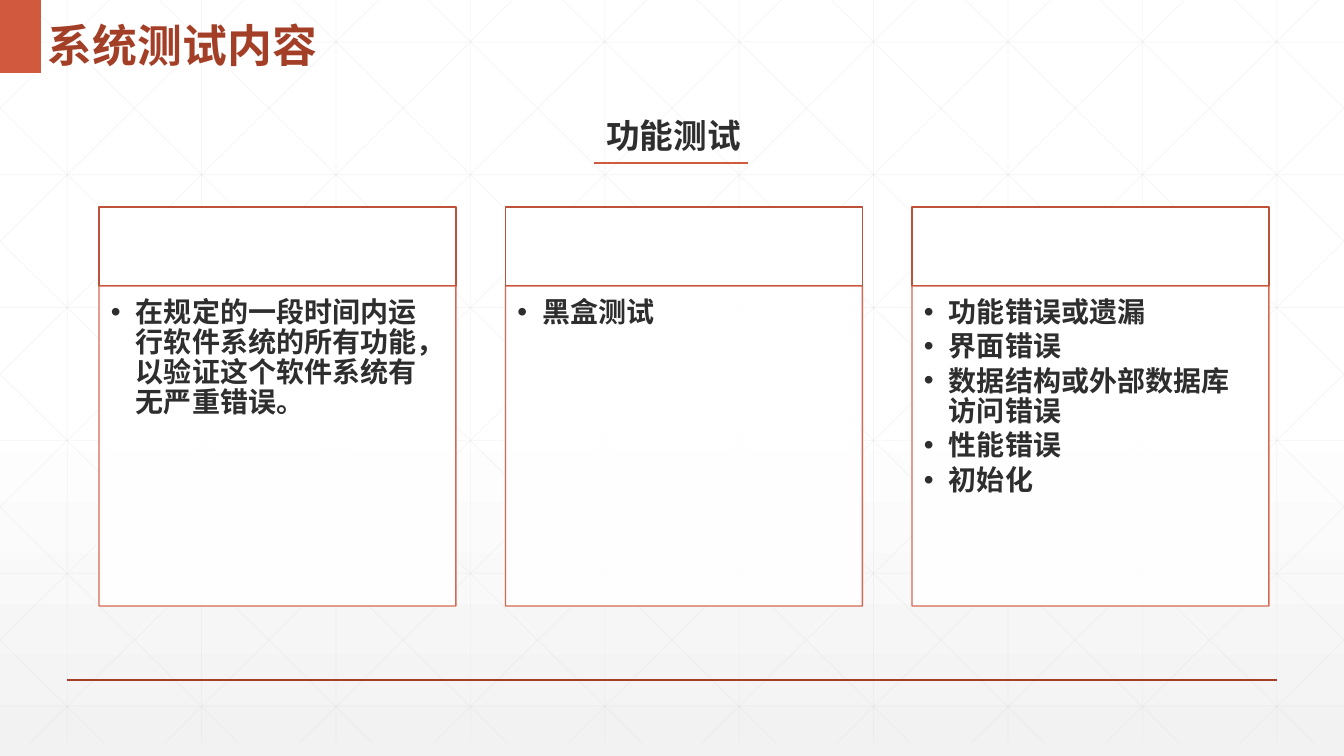
from lxml import etree
from pptx import Presentation
from pptx.dml.color import RGBColor
from pptx.enum.shapes import MSO_CONNECTOR, MSO_SHAPE
from pptx.enum.text import MSO_ANCHOR, PP_ALIGN
from pptx.oxml.ns import qn
from pptx.util import Pt

TITLE = "系统测试内容"
HEADING = "功能测试"
CARDS = [
    ["在规定的一段时间内运行软件系统的所有功能，以验证这个软件系统有无严重错误。"],
    ["黑盒测试"],
    ["功能错误或遗漏", "界面错误", "数据结构或外部数据库访问错误", "性能错误", "初始化"],
]
COLORS = {
    "white": "FFFFFF", "shade": "F2F2F2", "grid": "D9D9D9", "text": "2D2E2D",
    "accent": "D15A3E", "header": "BE5238", "title": "A43F27",
}
BACKGROUND_STOPS = [(0, "white", 100), (53, "white", 100), (100, "shade", 65)]
CJK_FONT = "Noto Sans CJK SC"
LATIN_FONT = "Arial"
RECTANGLE = MSO_SHAPE.RECTANGLE
STRAIGHT = MSO_CONNECTOR.STRAIGHT
MIDDLE, TOP = MSO_ANCHOR.MIDDLE, MSO_ANCHOR.TOP
LEFT, CENTER = PP_ALIGN.LEFT, PP_ALIGN.CENTER

# Lengths in px, 100.8 px to the inch
SLIDE_W, SLIDE_H = 1344, 756
EMU_PER_PX = 914400 / 100.8
GRID_BOTTOM = 743
COLUMN_PITCH = SLIDE_W / 10
ROW_TOP, ROW_BOTTOM, ROW_COUNT = 42, 706, 6
DIAGONAL_START, DIAGONAL_RUN = 25, 751
CARD_FIRST, CARD_LAST, CARD_W = 99, 912, 357
HEADER_TOP, BODY_TOP, BODY_BOTTOM = 207, 286, 606
CARD_INSETS = (12, 12, 16, 17)
BULLET_INDENT = 25


def px(length):
    return round(length * EMU_PER_PX)


def rgb(name):
    return RGBColor.from_string(COLORS[name])


def set_alpha(parent, percent):
    """Make every colour under an XML element partly transparent."""
    for color in parent.iter(qn("a:srgbClr")):
        etree.SubElement(color, qn("a:alpha"), val=str(percent * 1000))


def add_line(start, end, color, width, alpha=100):
    line = slide.shapes.add_connector(STRAIGHT, *map(px, start + end))
    line.line.color.rgb = rgb(color)
    line.line.width = Pt(width)
    properties = line._element.spPr
    if alpha < 100:
        set_alpha(properties, alpha)
    etree.SubElement(properties, qn("a:effectLst"))


def add_rectangle(box, fill, outline=None, alpha=100):
    shape = slide.shapes.add_shape(RECTANGLE, *map(px, box))
    shape.shadow.inherit = False
    shape.fill.solid()
    shape.fill.fore_color.rgb = rgb(fill)
    if outline:
        shape.line.color.rgb = rgb(outline)
        shape.line.width = Pt(1)
    else:
        shape.line.fill.background()
    if alpha < 100:
        set_alpha(shape._element.spPr, alpha)
    return shape


def write(frame, paragraphs, size, color, spacing, anchor, align=LEFT,
          font=CJK_FONT, bulleted=False):
    frame.word_wrap = True
    frame.vertical_anchor = anchor
    for index, text in enumerate(paragraphs):
        paragraph = frame.add_paragraph() if index else frame.paragraphs[0]
        paragraph.alignment = align
        paragraph.line_spacing = spacing
        if bulleted:
            paragraph.space_after = Pt(3)
            properties = paragraph._p.get_or_add_pPr()
            properties.set("marL", str(px(BULLET_INDENT)))
            properties.set("indent", str(-px(BULLET_INDENT)))
            etree.SubElement(properties, qn("a:buFont"), typeface=LATIN_FONT)
            etree.SubElement(properties, qn("a:buChar"), char="•")
        run = paragraph.add_run()
        run.text = text
        run.font.size = Pt(size)
        run.font.bold = True
        run.font.color.rgb = rgb(color)
        run.font.name = font
        etree.SubElement(run._r.get_or_add_rPr(), qn("a:ea"), typeface=CJK_FONT)


def paint_background():
    fill = slide.background.fill
    fill.gradient()
    fill.gradient_angle = 270
    stops = slide.element.find(".//" + qn("a:gsLst"))
    for stop in list(stops):
        stops.remove(stop)
    for position, color, alpha in BACKGROUND_STOPS:
        stop = etree.SubElement(stops, qn("a:gs"), pos=str(position * 1000))
        etree.SubElement(stop, qn("a:srgbClr"), val=COLORS[color])
        set_alpha(stop, alpha)


def draw_grid():
    """Draw columns, rows and mirrored diagonals clipped to the slide."""
    lines = []
    for column in range(10):
        x = (column + 0.5) * COLUMN_PITCH
        lines.append(((x, 0), (x, GRID_BOTTOM)))
    row_pitch = (ROW_BOTTOM - ROW_TOP) / (ROW_COUNT - 1)
    for row in range(ROW_COUNT):
        y = ROW_TOP + row * row_pitch
        lines.append(((0, y), (SLIDE_W, y)))
    slope = GRID_BOTTOM / DIAGONAL_RUN
    for step in range(-5, 10):
        x = DIAGONAL_START + step * COLUMN_PITCH
        left, right = max(x, 0), min(x + DIAGONAL_RUN, SLIDE_W)
        top, bottom = (left - x) * slope, (right - x) * slope
        lines.append(((left, top), (right, bottom)))
        lines.append(((SLIDE_W - left, top), (SLIDE_W - right, bottom)))
    for start, end in lines:
        add_line(start, end, "grid", 0.5, alpha=25)


def draw_cards():
    pitch = (CARD_LAST - CARD_FIRST) / (len(CARDS) - 1)
    for index, points in enumerate(CARDS):
        left = CARD_FIRST + index * pitch
        add_rectangle((left, HEADER_TOP, CARD_W, BODY_TOP - HEADER_TOP), "white", "header")
        body = add_rectangle((left, BODY_TOP, CARD_W, BODY_BOTTOM - BODY_TOP),
                             "white", "accent", alpha=90)
        frame = body.text_frame
        (frame.margin_left, frame.margin_top,
         frame.margin_right, frame.margin_bottom) = map(px, CARD_INSETS)
        write(frame, points, 20, "text", 0.9, TOP, bulleted=True)


presentation = Presentation()
presentation.slide_width, presentation.slide_height = px(SLIDE_W), px(SLIDE_H)
slide = presentation.slides.add_slide(presentation.slide_layouts[6])

paint_background()
draw_grid()
add_line((67, 680), (1277, 680), "title", 1)
add_rectangle((0, 0, 41, 73), "accent")
title = slide.shapes.add_textbox(*map(px, (38, 0, 573, 73)))
write(title.text_frame, [TITLE], 32, "title", 1.3, MIDDLE)
draw_cards()
heading = slide.shapes.add_textbox(*map(px, (82, 104, 1183, 54)))
write(heading.text_frame, [HEADING], 24, "text", 1.2, MIDDLE, CENTER, LATIN_FONT)
add_line((594, 163), (748, 163), "accent", 2)

presentation.save("out.pptx")
